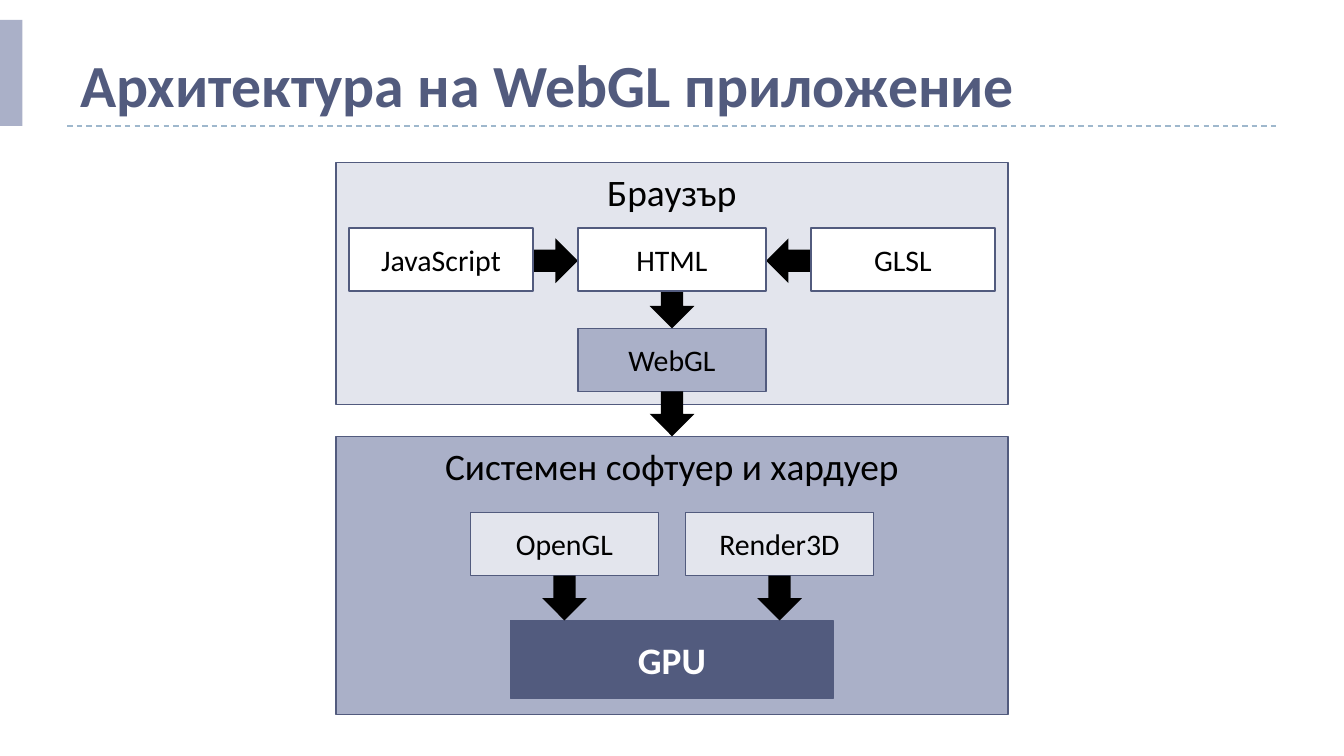
from lxml.etree import SubElement
from pptx import Presentation
from pptx.dml.color import RGBColor
from pptx.enum.dml import MSO_LINE
from pptx.enum.shapes import MSO_CONNECTOR, MSO_SHAPE
from pptx.enum.text import MSO_ANCHOR, PP_ALIGN
from pptx.oxml.ns import qn
from pptx.util import Pt

INK, MID, PALE = "525B7E", "AAB0C8", "E3E5ED"
BLACK, WHITE, RULE = "000000", "FFFFFF", "9FB8CD"
HEADING = {"size": Pt(32), "bold": True}
PANEL = {"size": Pt(20), "bold": False}
NODE = {"size": Pt(16), "bold": False}
CORE = {"size": Pt(20), "bold": True}
NODE_W, SIDE_W, NODE_H, ARROW = 100.8, 98.6, 33.8, 24


def paint(color_format, color):
    """Set a fill or font colour from a hex string."""
    color_format.rgb = RGBColor.from_string(color)


def write(shape, text, style, color, align, anchor):
    """Put one formatted line of text into a shape."""
    frame = shape.text_frame
    frame.word_wrap = True
    frame.vertical_anchor = anchor
    paragraph = frame.paragraphs[0]
    paragraph.alignment = align
    run = paragraph.add_run()
    run.text = text
    for name, value in {"name": "Calibri", **style}.items():
        setattr(run.font, name, value)
    paint(run.font.color, color)


def block(slide, box, fill, kind=MSO_SHAPE.RECTANGLE, outline=None):
    """Add a flat preset shape, outlined when a colour is given."""
    shape = slide.shapes.add_shape(kind, *map(Pt, box))
    shape.shadow.inherit = False
    shape.fill.solid()
    paint(shape.fill.fore_color, fill)
    if outline:
        shape.line.width = Pt(0.75)
        paint(shape.line.color, outline)
    else:
        shape.line.fill.background()
    return shape


def label_block(slide, box, text, fill, style=NODE, color=BLACK, anchor=MSO_ANCHOR.MIDDLE):
    """Add an outlined rectangle with a centred label."""
    shape = block(slide, box, fill, outline=INK)
    write(shape, text, style, color, PP_ALIGN.CENTER, anchor)


def arrow(slide, left, top, kind=MSO_SHAPE.DOWN_ARROW):
    """Add a black block arrow."""
    block(slide, (left, top, ARROW, ARROW), BLACK, kind)


def header(slide, box):
    """Place the accent bar, the title and the dashed rule."""
    left, top, width, height = box
    bottom = top + height
    rule = slide.shapes.add_connector(
        MSO_CONNECTOR.STRAIGHT, Pt(left), Pt(bottom), Pt(left + width), Pt(bottom))
    SubElement(rule._element.spPr, qn("a:effectLst"))
    rule.line.width = Pt(0.75)
    rule.line.dash_style = MSO_LINE.DASH
    paint(rule.line.color, RULE)
    block(slide, (0, bottom - 56.9, 12, 56.9), MID)
    title = slide.shapes.add_textbox(Pt(left), Pt(top), Pt(width), Pt(height))
    write(title, "Архитектура на WebGL приложение", HEADING, INK,
          PP_ALIGN.LEFT, MSO_ANCHOR.BOTTOM)


def browser(slide, box):
    """Place the browser panel with its sources feeding WebGL."""
    left, top, width, height = box
    label_block(slide, box, "Браузър", PALE, PANEL, anchor=MSO_ANCHOR.TOP)
    row, center = top + 35, left + width / 2
    html_left, html_right = center - NODE_W / 2, center + NODE_W / 2
    arrow_top = row + (NODE_H - ARROW) / 2 + 0.7
    webgl_top = row + 53.8
    arrow(slide, html_left - ARROW, arrow_top, MSO_SHAPE.RIGHT_ARROW)
    arrow(slide, html_right, arrow_top, MSO_SHAPE.LEFT_ARROW)
    arrow(slide, center - ARROW / 2, webgl_top - ARROW)
    for text, x, y, w, fill in (
        ("JavaScript", html_left - ARROW - SIDE_W, row, SIDE_W, WHITE),
        ("HTML", html_left, row, NODE_W, WHITE),
        ("GLSL", html_right + ARROW, row, SIDE_W, WHITE),
        ("WebGL", html_left, webgl_top, NODE_W, MID),
    ):
        label_block(slide, (x, y, w, NODE_H), text, fill)
    arrow(slide, center - ARROW / 2, webgl_top + NODE_H)


def system(slide, box):
    """Place the system panel with both graphics libraries above the GPU."""
    left, top, width, height = box
    label_block(slide, box, "Системен софтуер и хардуер", MID, PANEL,
                anchor=MSO_ANCHOR.TOP)
    row, gap, gpu_width = top + 40.6, 14.4, 172.8
    gpu_top = row + NODE_H + ARROW
    label_block(slide, (left + (width - gpu_width) / 2, gpu_top, gpu_width, 41.8),
                "GPU", INK, CORE, WHITE)
    first = left + (width - gap) / 2 - NODE_W
    for index, library in enumerate(("OpenGL", "Render3D")):
        x = first + index * (NODE_W + gap)
        label_block(slide, (x, row, NODE_W, NODE_H), library, PALE)
        arrow(slide, x + (NODE_W - ARROW) / 2, row + NODE_H)


def main():
    """Build the slide and save it."""
    deck = Presentation()
    deck.slide_width, deck.slide_height = Pt(720), Pt(405)
    slide = deck.slides.add_slide(deck.slide_layouts[6])
    header(slide, (36, 13.5, 648, 54))
    system(slide, (180, 234, 360, 149))
    browser(slide, (180, 87.1, 360, 129.6))
    deck.save("out.pptx")


if __name__ == "__main__":
    main()
